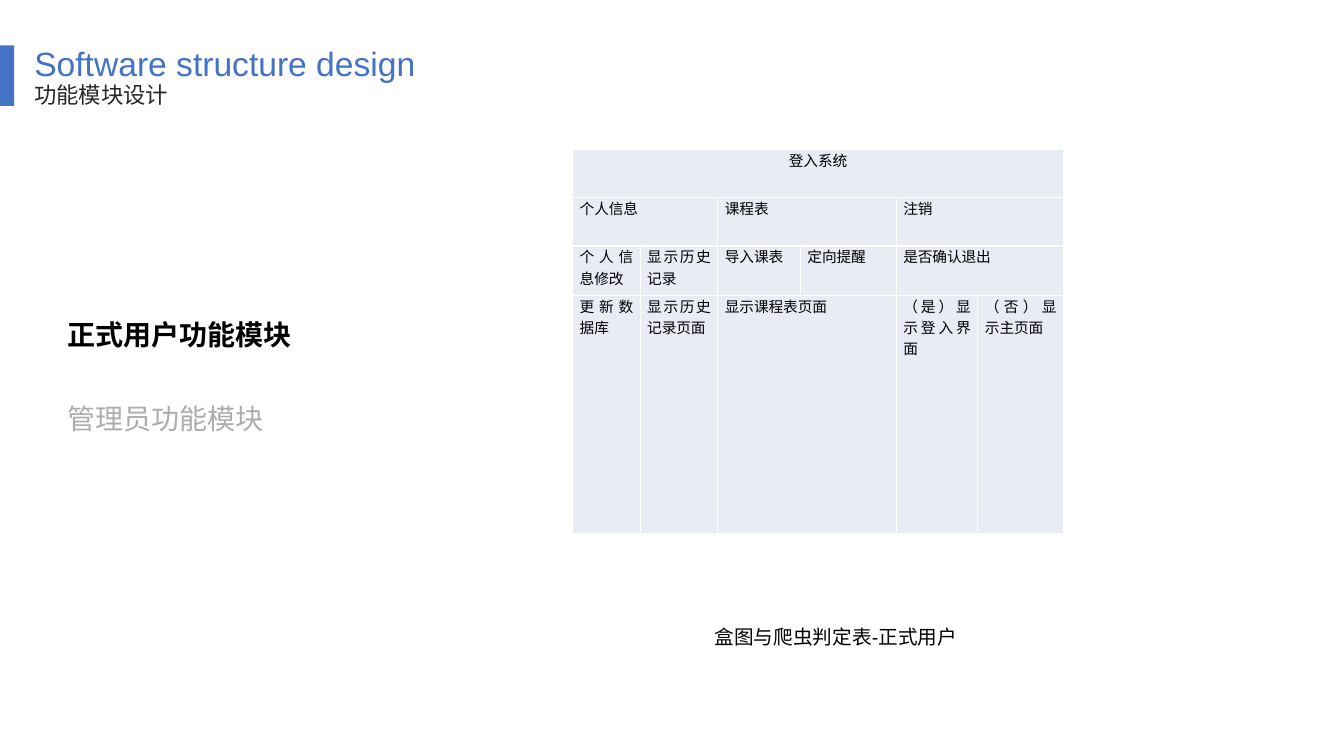
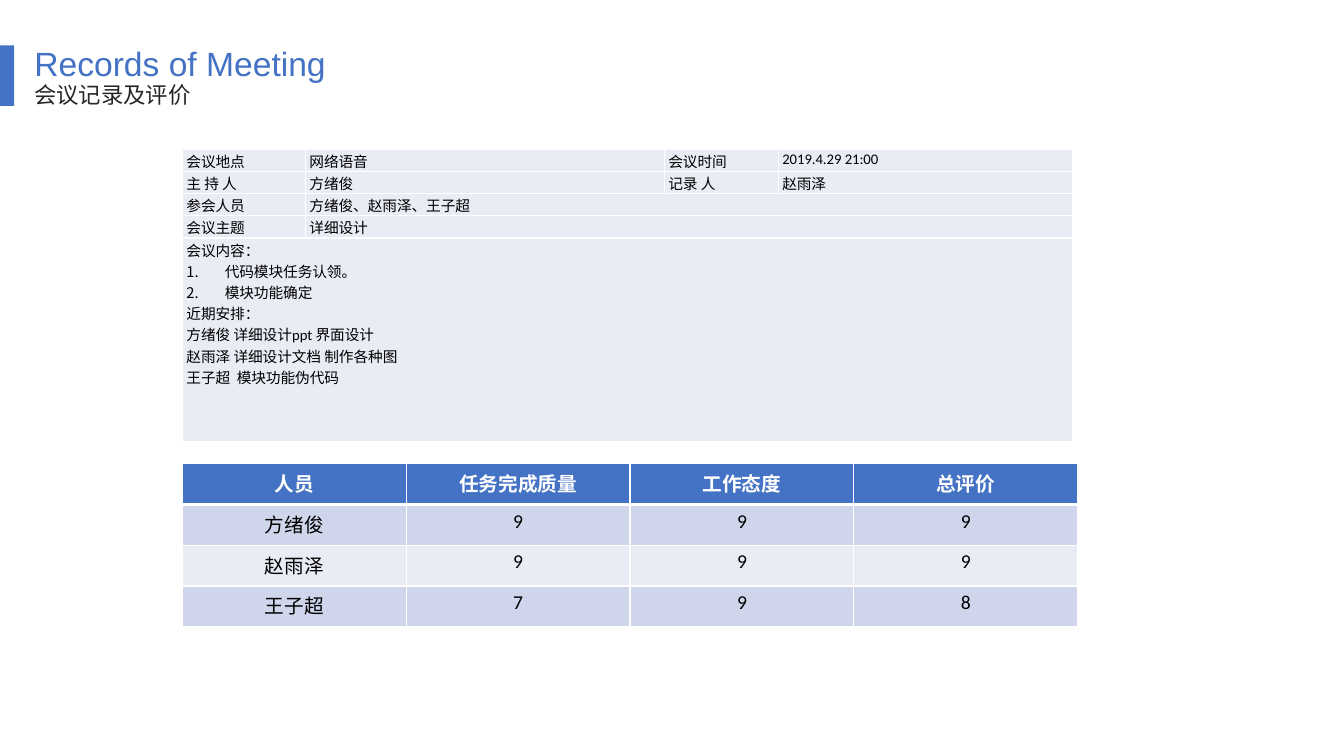
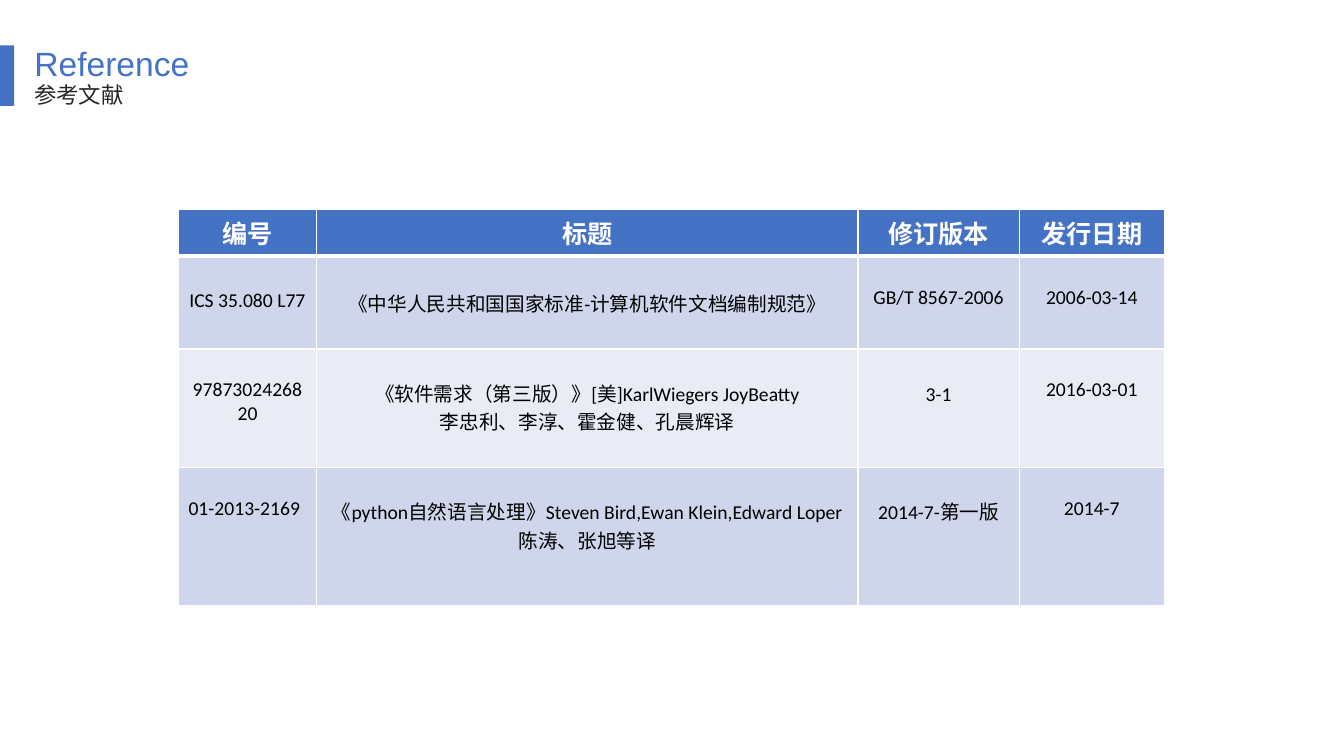
from lxml import etree
from pptx import Presentation
from pptx.dml.color import RGBColor
from pptx.enum.shapes import MSO_SHAPE
from pptx.enum.text import MSO_ANCHOR, MSO_AUTO_SIZE, PP_ALIGN
from pptx.oxml.ns import qn
from pptx.util import Inches, Pt

RECTANGLE = MSO_SHAPE.RECTANGLE
MIDDLE = MSO_ANCHOR.MIDDLE
NO_AUTOFIT = MSO_AUTO_SIZE.NONE
LEFT, CENTER, JUSTIFY = PP_ALIGN.LEFT, PP_ALIGN.CENTER, PP_ALIGN.JUSTIFY

BLUE, PALE, MID = "4472C4", "E9EBF5", "CFD5EA"
BLACK, WHITE, DARK, GREY = "000000", "FFFFFF", "262626", "AFABAB"


def write(paragraph, text, size, color, font="Arial", bold=False):
    run = paragraph.add_run()
    run.text = text
    run.font.size = Pt(size)
    run.font.name = font
    run.font.bold = bold
    run.font.color.rgb = RGBColor.from_string(color)


def add_grid(slide, left, top, widths, heights, rows, size, align, margins, header_size=None):
    table = slide.shapes.add_table(
        len(rows), len(widths), Inches(left), Inches(top),
        Inches(sum(widths)), Inches(sum(heights))).table
    table.first_row = table.horz_banding = False
    for column, width in zip(table.columns, widths):
        column.width = Inches(width)
    for r, texts in enumerate(rows):
        table.rows[r].height = Inches(heights[r])
        is_header = header_size and r == 0
        fill = BLUE if is_header else MID if header_size and r % 2 else PALE
        for c, text in enumerate(texts):
            cell = table.cell(r, c)
            cell.margin_left = cell.margin_right = Inches(margins[0])
            cell.margin_top, cell.margin_bottom = Inches(margins[1]), Inches(margins[2])
            for side in ("L", "R", "T", "B"):
                thick = header_size and (r, side) in ((0, "B"), (1, "T"))
                border = etree.SubElement(cell._tc.get_or_add_tcPr(), qn(f"a:ln{side}"),
                                          w=str(Pt(3 if thick else 1)))
                paint = etree.SubElement(border, qn("a:solidFill"))
                etree.SubElement(paint, qn("a:srgbClr"), val=WHITE)
            cell.fill.solid()
            cell.fill.fore_color.rgb = RGBColor.from_string(fill)
            if text is None:
                continue
            for i, line in enumerate(text.split("\n")):
                frame = cell.text_frame
                paragraph = frame.add_paragraph() if i else frame.paragraphs[0]
                paragraph.alignment = align
                write(paragraph, line, header_size if is_header else size,
                      WHITE if is_header else BLACK, "Calibri", bool(is_header))
            span = 1
            while c + span < len(texts) and texts[c + span] is None:
                span += 1
            if span > 1:
                cell.merge(table.cell(r, c + span - 1))
    return table


prs = Presentation()
prs.slide_width, prs.slide_height = Inches(13.33), Inches(7.5)

headings = [
    ("Software structure design", "功能模块设计"),
    ("Records of Meeting", "会议记录及评价"),
    ("Reference", "参考文献"),
]
slides = []
for english, chinese in headings:
    slide = prs.slides.add_slide(prs.slide_layouts[5])
    slides.append(slide)
    band = slide.shapes.add_shape(RECTANGLE, 0, Inches(0.45), Inches(0.14), Inches(0.6))
    band.shadow.inherit = False
    band.fill.solid()
    band.fill.fore_color.rgb = RGBColor.from_string(BLUE)
    band.line.fill.background()

    title = slide.shapes.title
    title.left, title.top = Inches(0.24), Inches(0.43)
    title.width, title.height = Inches(7.17), Inches(0.46)
    subtitle = slide.shapes.add_textbox(Inches(0.24), Inches(0.78), Inches(7.17), Inches(0.35))
    for box, text, size, color, spacing in (
            (title, english, 24, BLUE, 0.8), (subtitle, chinese, 16, DARK, 0.9)):
        frame = box.text_frame
        frame.word_wrap = True
        frame.auto_size = NO_AUTOFIT
        frame.vertical_anchor = MIDDLE
        heading = frame.paragraphs[0]
        heading.alignment = LEFT
        heading.line_spacing = spacing
        write(heading, text, size, color)

modules_slide, meeting_slide, reference_slide = slides

modules = modules_slide.shapes.add_textbox(
    Inches(0.57), Inches(3.14), Inches(2.51), Inches(1.4)).text_frame
modules.word_wrap = True
current = modules.paragraphs[0]
current.line_spacing = 0.9
write(current, "正式用户功能模块", 20, BLACK, bold=True)
upcoming = modules.add_paragraph()
upcoming.line_spacing = 0.9
upcoming.space_before = Pt(38)
write(upcoming, "管理员功能模块", 20, GREY)

caption = modules_slide.shapes.add_textbox(
    Inches(6.99), Inches(6.15), Inches(2.66), Inches(0.34)).text_frame
caption.word_wrap = True
write(caption.paragraphs[0], "盒图与爬虫判定表-正式用户", 14, BLACK)

box_diagram = add_grid(
    modules_slide, 5.68, 1.48, [0.67, 0.77, 0.82, 0.95, 0.81, 0.85], [0.48, 0.48, 0.49, 2.36],
    [
        ["登入系统", None, None, None, None, None],
        ["个人信息", None, "课程表", None, "注销", None],
        ["个人信息修改", "显示历史记录", "导入课表", "定向提醒", "是否确认退出", None],
        ["更新数据库", "显示历史记录页面", "显示课程表页面", None,
         "（是）显示登入界面", "（否）显示主页面"],
    ], 10.5, JUSTIFY, (0.07, 0, 0))
box_diagram.cell(0, 0).text_frame.paragraphs[0].alignment = CENTER

minutes = add_grid(
    meeting_slide, 1.81, 1.48, [1.22, 3.56, 1.13, 2.92], [0.22] * 4 + [2.02],
    [
        ["会议地点", "网络语音", "会议时间", "2019.4.29 21:00"],
        ["主 持 人", "方绪俊", "记录 人", "赵雨泽"],
        ["参会人员", "方绪俊、赵雨泽、王子超", None, None],
        ["会议主题", "详细设计", None, None],
        ["会议内容：\n代码模块任务认领。\n模块功能确定\n近期安排：\n方绪俊 详细设计ppt 界面设计\n"
         "赵雨泽 详细设计文档 制作各种图\n王子超  模块功能伪代码", None, None, None],
    ], 10.5, JUSTIFY, (0.04, 0.01, 0))
for agenda_item in minutes.cell(4, 0).text_frame.paragraphs[1:3]:
    properties = agenda_item._p.get_or_add_pPr()
    properties.set("marL", str(Inches(0.38)))
    properties.set("indent", str(-Inches(0.38)))
    etree.SubElement(properties, qn("a:buAutoNum"), type="arabicPeriod")

add_grid(
    meeting_slide, 1.81, 4.6, [2.22] * 4, [0.405] * 4,
    [
        ["人员", "任务完成质量", "工作态度", "总评价"],
        ["方绪俊", "9", "9", "9"],
        ["赵雨泽", "9", "9", "9"],
        ["王子超", "7", "9", "8"],
    ], 14, CENTER, (0.1, 0.05, 0.05), 14)

references = add_grid(
    reference_slide, 1.77, 2.08, [1.37, 5.37, 1.6, 1.44], [0.46, 0.92, 1.18, 1.37],
    [
        ["编号", "标题", "修订版本", "发行日期"],
        ["ICS 35.080 L77", "《中华人民共和国国家标准-计算机软件文档编制规范》",
         "GB/T 8567-2006", "2006-03-14"],
        ["9787302426820",
         "《软件需求（第三版）》[美]KarlWiegers JoyBeatty\n李忠利、李淳、霍金健、孔晨辉译",
         "3-1", "2016-03-01"],
        ["01-2013-2169",
         "《python自然语言处理》Steven Bird,Ewan Klein,Edward Loper\n陈涛、张旭等译",
         "2014-7-第一版", "2014-7"],
    ], 14, CENTER, (0.1, 0.29, 0.05), 18)
for c in range(4):
    references.cell(0, c).margin_top = Inches(0.05)
for r, c, offset in ((1, 0, 0.32), (1, 1, 0.32), (2, 2, 0.34)):
    references.cell(r, c).margin_top = Inches(offset)
references.cell(3, 0).text_frame.paragraphs[0].alignment = LEFT

prs.save("out.pptx")
